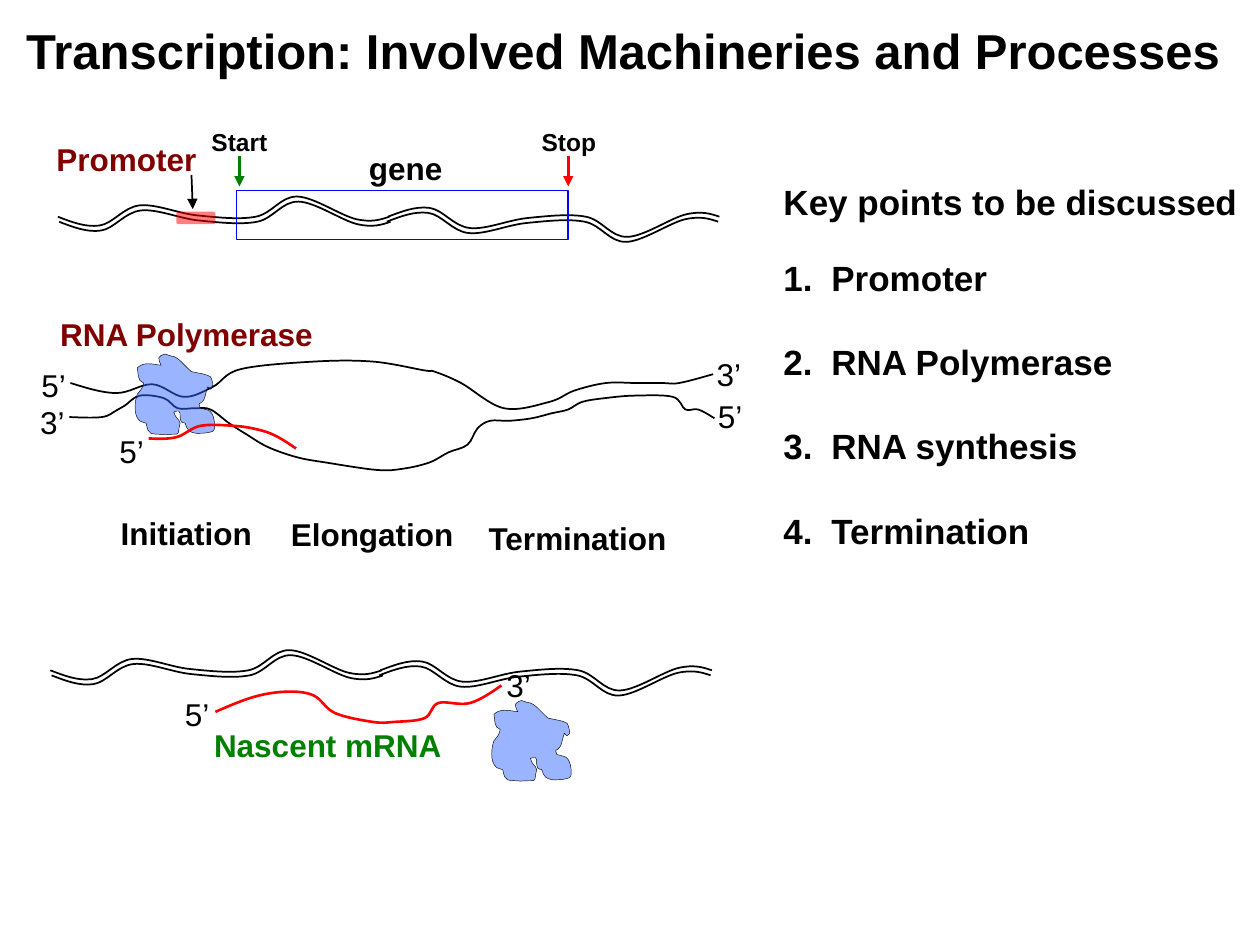
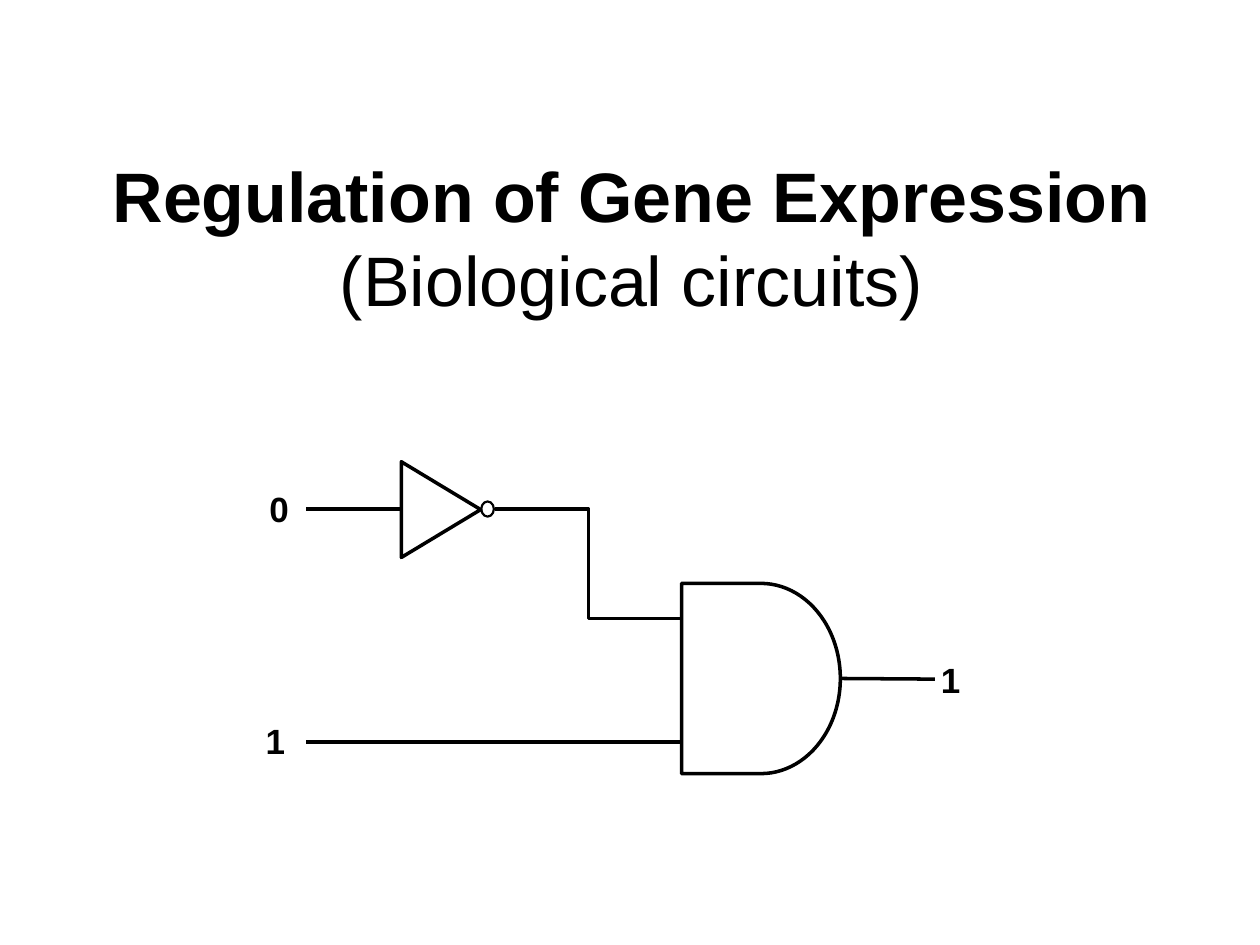
"""Build two slides on gene transcription and its regulation."""
from dataclasses import dataclass

from lxml.etree import Element, SubElement
from pptx import Presentation
from pptx.dml.color import RGBColor
from pptx.enum.shapes import MSO_CONNECTOR, MSO_SHAPE
from pptx.enum.text import MSO_ANCHOR, MSO_AUTO_SIZE, PP_ALIGN
from pptx.oxml.ns import qn
from pptx.shapes.autoshape import Shape
from pptx.shapes.connector import Connector
from pptx.slide import Slide
from pptx.util import Inches, Pt

Point = tuple[float, float]
Bezier = tuple[Point, Point, Point]

FONT = "Arial"
COLORS = {
    "black": "000000", "maroon": "800000", "green": "008000",
    "red": "FF0000", "blue": "0000FF", "enzyme": "3366FF",
}
TWIN_SHIFT = (0.01, 0.04)

STRAND = [(0, 0), (0.33, 0.07), (0.65, -0.09), (1.11, -0.01),
          (1.57, 0), (1.9, -0.16), (2.37, 0.02), (2.63, 0)]
UPPER_BUBBLE = [
    (0.56, 3.04), (0.92, 3.12), (1.21, 3.05), (1.46, 3.15), (1.69, 3.07), (1.91, 2.93),
    (2.49, 2.87), (2.96, 2.87), (3.37, 2.94), (3.45, 2.95), (3.66, 3.04), (4, 3.24),
    (4.36, 3.19), (4.56, 3.1), (4.81, 3.04), (5.05, 3.04), (5.26, 3.04), (5.39, 3.04),
    (5.66, 2.97)]
LOWER_BUBBLE = [
    (0.55, 3.31), (0.81, 3.31), (0.92, 3.26), (0.99, 3.22), (1.11, 3.14), (1.3, 3.16),
    (1.41, 3.24), (1.55, 3.24), (1.67, 3.25), (1.82, 3.36), (1.96, 3.45), (2.13, 3.55),
    (2.36, 3.63), (2.58, 3.67), (2.99, 3.73), (3.2, 3.72), (3.41, 3.67), (3.56, 3.59),
    (3.71, 3.53), (3.79, 3.4), (3.89, 3.34), (4.04, 3.34), (4.22, 3.32), (4.38, 3.28),
    (4.51, 3.25), (4.62, 3.19), (4.8, 3.16), (5.04, 3.14), (5.34, 3.15), (5.44, 3.25),
    (5.54, 3.25), (5.67, 3.32)]
GROWING_RNA = [(1.18, 3.48), (1.4, 3.47), (1.59, 3.38), (1.86, 3.38),
               (2.05, 3.41), (2.19, 3.46), (2.35, 3.56)]
NASCENT_RNA = [
    (1.71, 5.65), (2.02, 5.53), (2.28, 5.49), (2.49, 5.52), (2.66, 5.66), (2.96, 5.73),
    (3.13, 5.73), (3.37, 5.7), (3.48, 5.58), (3.73, 5.58), (3.98, 5.44)]
POLYMERASE_START = (0.22, 0.09)
POLYMERASE = [
    ((0.15, 0.08), (0.08, 0.06), (0.03, 0.11)), ((0.04, 0.17), (0.03, 0.21), (0.08, 0.23)),
    ((0.07, 0.28), (0.06, 0.28), (0.03, 0.32)), ((0.01, 0.37), (0, 0.48), (0.04, 0.52)),
    ((0.05, 0.54), (0.08, 0.54), (0.1, 0.55)), ((0.12, 0.65), (0.13, 0.63), (0.24, 0.64)),
    ((0.39, 0.63), (0.34, 0.66), (0.37, 0.55)), ((0.36, 0.51), (0.33, 0.51), (0.32, 0.46)),
    ((0.4, 0.43), (0.35, 0.49), (0.38, 0.54)), ((0.39, 0.55), (0.4, 0.55), (0.41, 0.55)),
    ((0.43, 0.61), (0.44, 0.62), (0.5, 0.63)), ((0.54, 0.63), (0.57, 0.63), (0.61, 0.62)),
    ((0.62, 0.62), (0.64, 0.61), (0.64, 0.6)), ((0.65, 0.57), (0.64, 0.47), (0.6, 0.45)),
    ((0.58, 0.44), (0.53, 0.43), (0.53, 0.43)), ((0.51, 0.37), (0.52, 0.42), (0.56, 0.36)),
    ((0.57, 0.34), (0.57, 0.32), (0.58, 0.29)), ((0.58, 0.28), (0.59, 0.26), (0.59, 0.26)),
    ((0.6, 0.27), (0.6, 0.28), (0.61, 0.28)), ((0.65, 0.28), (0.62, 0.19), (0.61, 0.18)),
    ((0.58, 0.16), (0.5, 0.15), (0.46, 0.14)), ((0.41, 0.1), (0.37, 0.04), (0.32, 0.02)),
    ((0.3, 0.02), (0.25, 0), (0.25, 0)), ((0.19, 0.02), (0.19, 0.03), (0.22, 0.09))]


@dataclass
class Label:
    """One line of text at a place."""
    text: str
    left: float
    top: float
    width: float
    size: int = 18
    color: str = "black"
    bold: bool = True


@dataclass
class Line:
    """A straight or bent line between two points."""
    start: Point
    end: Point
    color: str = "black"
    weight: float = 2
    arrow: bool = False
    kind: MSO_CONNECTOR = MSO_CONNECTOR.STRAIGHT


TRANSCRIPTION_LABELS = [
    Label("Transcription: Involved Machineries and Processes", 0.11, 0.11, 9.8, 28),
    Label("Initiation", 0.86, 4.03, 1.25),
    Label("Elongation", 2.21, 4.04, 1.51),
    Label("Termination", 3.78, 4.07, 1.63),
    Label("gene", 2.83, 1.13, 0.79),
    Label("Start", 1.58, 0.96, 0.65, 14),
    Label("Stop", 4.2, 0.96, 0.64, 14),
    Label("Promoter", 0.35, 1.06, 1.47, color="maroon"),
    Label("RNA Polymerase", 0.38, 2.45, 2.23, color="maroon"),
    Label("Nascent mRNA", 1.6, 5.71, 2.02, color="green"),
    Label("Key points to be discussed", 6.12, 1.38, 3.83, 20),
]
STRAND_ENDS = [
    ("3’", 0.22, 3.15), ("5’", 5.6, 3.1), ("5’", 0.23, 2.86), ("3’", 5.59, 2.77),
    ("5’", 0.85, 3.38), ("5’", 1.37, 5.47), ("3’", 3.92, 5.24),
]
ARROWS = [
    Line((1.9, 1.24), (1.9, 1.48), "green", 1.5, True),
    Line((4.51, 1.24), (4.51, 1.48), "red", 1.5, True),
    Line((1.52, 1.39), (1.53, 1.66), "black", 1, True),
]
KEY_POINTS = ["Promoter", "RNA Polymerase", "RNA synthesis", "Termination"]
WIRES = [
    Line((2.43, 5.89), (5.4, 5.89)),
    Line((2.43, 4.04), (3.18, 4.04)),
    Line((3.93, 4.04), (5.41, 4.91), kind=MSO_CONNECTOR.ELBOW),
]
SIGNALS = [("1", 2.01, 5.66), ("0", 2.04, 3.82), ("1", 7.37, 5.18)]


def rgb(name: str) -> RGBColor:
    """Look up a named colour."""
    return RGBColor.from_string(COLORS[name])


def style_runs(paragraph, size: float, color: str = "black", bold: bool = True) -> None:
    """Format every run of a paragraph."""
    for span in paragraph.runs:
        span.font.name = FONT
        span.font.size = Pt(size)
        span.font.bold = bold
        span.font.color.rgb = rgb(color)


def add_label(page: Slide, label: Label) -> None:
    """Draw one unwrapped line of text."""
    height = label.size * 1.2 / 72 + 0.1
    box = page.shapes.add_textbox(
        Inches(label.left), Inches(label.top), Inches(label.width), Inches(height))
    frame = box.text_frame
    frame.text = label.text
    frame.word_wrap = False
    frame.auto_size = MSO_AUTO_SIZE.SHAPE_TO_FIT_TEXT
    style_runs(frame.paragraphs[0], label.size, label.color, label.bold)


def paint(shape: Shape, line: str | None, weight: float = 1,
          fill: str | None = None, opacity: int = 50) -> None:
    """Set outline and translucent fill, without shadow."""
    shape.shadow.inherit = False
    if fill:
        shape.fill.solid()
        shape.fill.fore_color.rgb = rgb(fill)
        color = next(shape._element.spPr.iter(qn("a:srgbClr")))
        SubElement(color, qn("a:alpha"), val=str(opacity * 1000))
    else:
        shape.fill.background()
    if line:
        shape.line.color.rgb = rgb(line)
        shape.line.width = Pt(weight)
    else:
        shape.line.fill.background()


def add_preset(page: Slide, kind: MSO_SHAPE, left: float, top: float,
               width: float, height: float) -> Shape:
    """Add a preset shape measured in inches."""
    return page.shapes.add_shape(
        kind, Inches(left), Inches(top), Inches(width), Inches(height))


def add_line(page: Slide, line: Line) -> Connector:
    """Draw a connector, with an arrowhead if asked."""
    connector = page.shapes.add_connector(
        line.kind, *(Inches(value) for value in (*line.start, *line.end)))
    connector.line.color.rgb = rgb(line.color)
    connector.line.width = Pt(line.weight)
    if line.arrow:
        SubElement(connector.line._get_or_add_ln(), qn("a:tailEnd"), type="triangle")
    SubElement(connector._element.spPr, qn("a:effectLst"))
    return connector


def smooth(points: list[Point]) -> list[Bezier]:
    """Join points with a smooth run of Bezier segments."""
    slopes = [((after[0] - before[0]) / 6, (after[1] - before[1]) / 6)
              for before, after in zip(points, points[2:])]
    slopes = [None, *slopes, None]
    segments = []
    for (x0, y0), (x1, y1), leaving, arriving in zip(points, points[1:], slopes, slopes[1:]):
        first = (x0 + leaving[0], y0 + leaving[1]) if leaving else None
        second = (x1 - arriving[0], y1 - arriving[1]) if arriving else None
        first = first or ((x0 + second[0]) / 2, (y0 + second[1]) / 2)
        second = second or ((x1 + first[0]) / 2, (y1 + first[1]) / 2)
        segments.append((first, second, (x1, y1)))
    return segments


def add_outline(page: Slide, start: Point, segments: list[Bezier],
                closed: bool = False) -> Shape:
    """Draw a freeform and turn each three vertices into one Bezier segment."""
    builder = page.shapes.build_freeform(Inches(start[0]), Inches(start[1]))
    builder.add_line_segments(
        [(Inches(x), Inches(y)) for segment in segments for x, y in segment], close=closed)
    shape = builder.convert_to_shape()
    steps = list(shape._element.spPr.iter(qn("a:lnTo")))
    for first in range(0, 3 * len(segments), 3):
        curve = Element(qn("a:cubicBezTo"))
        steps[first].addprevious(curve)
        for step in steps[first:first + 3]:
            curve.append(step[0])
            step.getparent().remove(step)
    return shape


def add_curve(page: Slide, points: list[Point], color: str = "black", weight: float = 1) -> None:
    """Draw a smooth open curve."""
    paint(add_outline(page, points[0], smooth(points)), color, weight)


def add_double_strand(page: Slide, left: float, top: float) -> None:
    """Draw DNA as two twin strands, mirrored in the right half."""
    shift_x, shift_y = TWIN_SHIFT
    origins = [(left, top, 1), (left + shift_x, top + shift_y, 1),
               (left + 2.62, top, -1), (left + 2.62 - shift_x, top + shift_y, -1)]
    for origin_x, origin_y, flip in origins:
        add_curve(page, [(origin_x + x, origin_y + flip * y) for x, y in STRAND])


def add_polymerase(page: Slide, left: float, top: float) -> None:
    """Draw the translucent enzyme."""
    start = (left + POLYMERASE_START[0], top + POLYMERASE_START[1])
    segments = [tuple((left + x, top + y) for x, y in segment) for segment in POLYMERASE]
    paint(add_outline(page, start, segments, closed=True), "black", 0.25, "enzyme", 49)


def add_key_points(page: Slide) -> None:
    """Write the numbered list."""
    box = page.shapes.add_textbox(Inches(6.12), Inches(1.99), Inches(2.83), Inches(2.46))
    frame = box.text_frame
    frame.word_wrap = True
    frame.text = "\n".join(KEY_POINTS)
    for index, paragraph in enumerate(frame.paragraphs):
        properties = paragraph._p.get_or_add_pPr()
        properties.set("marL", str(Inches(0.38)))
        properties.set("indent", str(-Inches(0.38)))
        SubElement(properties, qn("a:buFont"), typeface=FONT)
        SubElement(properties, qn("a:buAutoNum"), type="arabicPeriod")
        if index:
            paragraph.space_before = Pt(24)
        style_runs(paragraph, 20)


def build_transcription(page: Slide) -> None:
    """Draw the stages of transcription."""
    add_double_strand(page, 0.46, 1.72)
    paint(add_preset(page, MSO_SHAPE.RECTANGLE, 1.88, 1.51, 2.63, 0.39), "blue", 0.75)
    promoter = add_preset(page, MSO_SHAPE.ROUNDED_RECTANGLE, 1.4, 1.68, 0.31, 0.1)
    paint(promoter, None, fill="red")
    for arrow in ARROWS:
        add_line(page, arrow)
    add_curve(page, UPPER_BUBBLE)
    add_curve(page, LOWER_BUBBLE)
    add_polymerase(page, 1.06, 2.81)
    add_curve(page, GROWING_RNA, "red", 1.5)
    add_double_strand(page, 0.4, 5.32)
    add_curve(page, NASCENT_RNA, "red", 1.5)
    add_polymerase(page, 3.89, 5.56)
    for label in TRANSCRIPTION_LABELS:
        add_label(page, label)
    for text, left, top in STRAND_ENDS:
        add_label(page, Label(text, left, top, 0.4, bold=False))
    add_key_points(page)


def build_regulation(page: Slide) -> None:
    """Draw the title and the logic circuit."""
    gate = add_preset(page, MSO_SHAPE.FLOWCHART_DELAY, 5.41, 4.63, 1.26, 1.51)
    paint(gate, "black", 2)
    for wire in WIRES:
        add_line(page, wire)
    add_line(page, Line((6.67, 5.39), (7.42, 5.39))).begin_connect(gate, 3)
    inverter = add_preset(page, MSO_SHAPE.ISOSCELES_TRIANGLE, 3.12, 3.73, 0.76, 0.63)
    inverter.rotation = 90
    paint(inverter, "black", 2)
    paint(add_preset(page, MSO_SHAPE.OVAL, 3.82, 3.98, 0.1, 0.12), "black", 1.25)
    for text, left, top in SIGNALS:
        add_label(page, Label(text, left, top, 0.36, 20))
    title = page.shapes.add_textbox(Inches(0.22), Inches(1.07), Inches(9.58), Inches(1.61))
    frame = title.text_frame
    frame.word_wrap = True
    frame.vertical_anchor = MSO_ANCHOR.MIDDLE
    frame.text = "Regulation of Gene Expression\n(Biological circuits)"
    for paragraph, bold in zip(frame.paragraphs, (True, False)):
        paragraph.alignment = PP_ALIGN.CENTER
        style_runs(paragraph, 40, bold=bold)


def main() -> None:
    """Build and save the deck."""
    deck = Presentation()
    deck.slide_width, deck.slide_height = Inches(10), Inches(7.5)
    for build in (build_transcription, build_regulation):
        build(deck.slides.add_slide(deck.slide_layouts[6]))
    deck.save("out.pptx")


if __name__ == "__main__":
    main()
